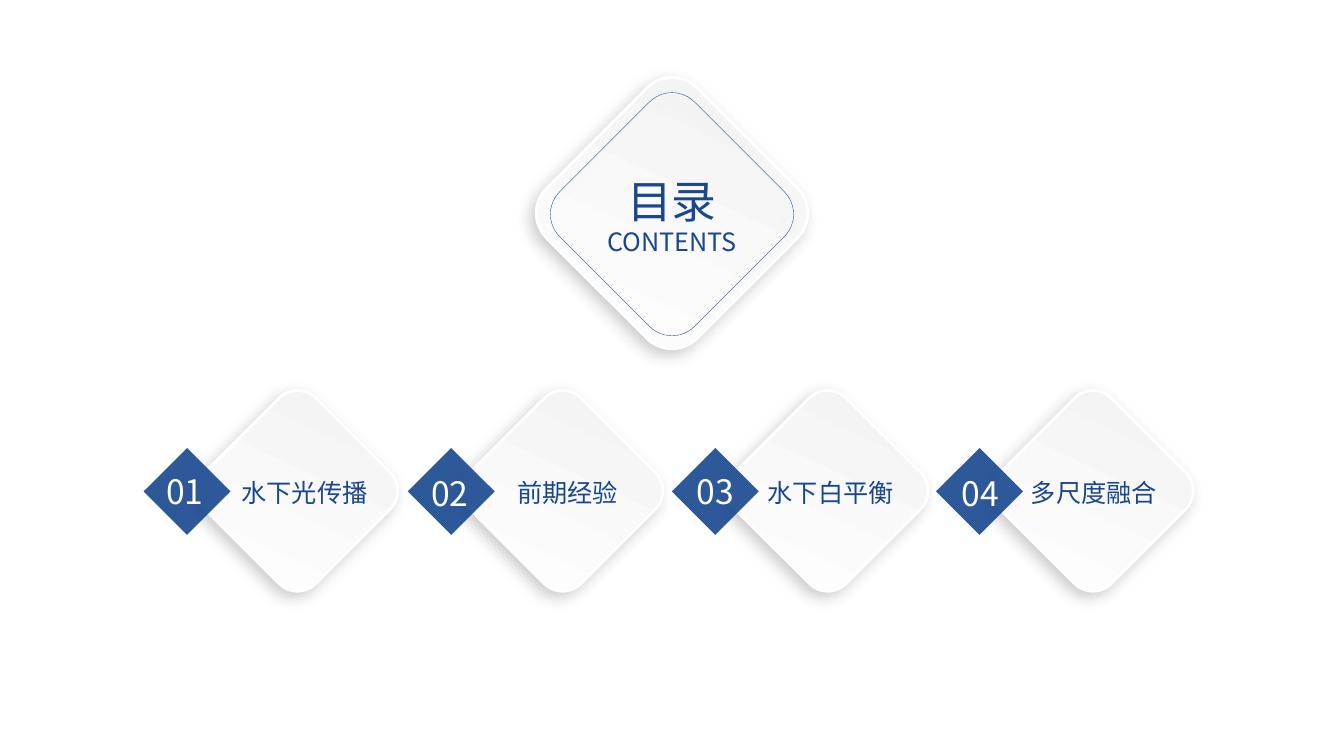
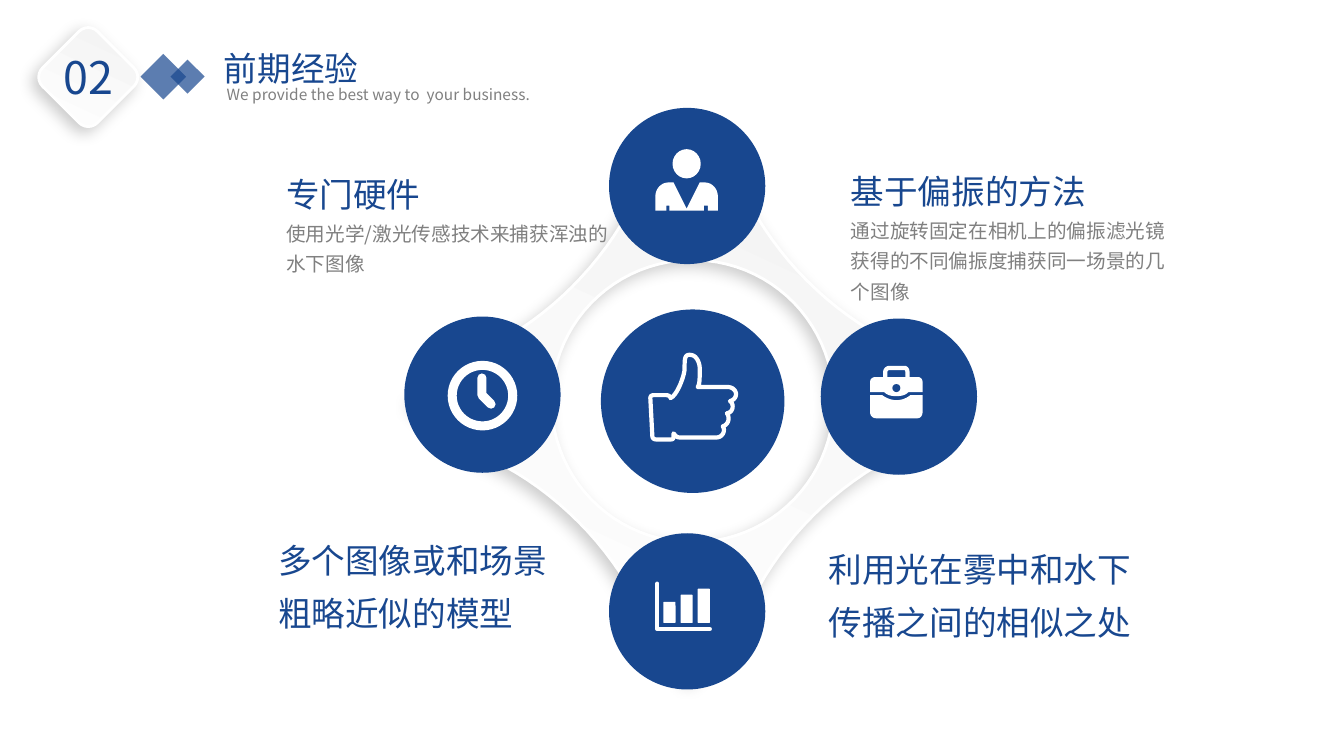
from pptx import Presentation
from pptx.dml.color import RGBColor
from pptx.enum.shapes import MSO_SHAPE as Kind
from pptx.enum.text import MSO_ANCHOR as Anchor, MSO_AUTO_SIZE as Auto, PP_ALIGN as Align
from pptx.oxml import parse_xml
from pptx.oxml.ns import nsdecls, qn
from pptx.util import Inches, Pt
from lxml.etree import SubElement
from math import cos, sin, tau

# Shared style
BLUE = RGBColor(0x18, 0x47, 0x8F)
WHITE = RGBColor(0xFF, 0xFF, 0xFF)
PALE = RGBColor(0xF2, 0xF2, 0xF2)
GREY = RGBColor(0x80, 0x80, 0x80)
FONT = "Noto Sans CJK SC"

# Contents slide
TOPICS = ["水下光传播", "前期经验", "水下白平衡", "多尺度融合"]

# Methods slide: box, heading, detail
NOTES = [
    ((8.34, 1.53, 3.5, 1.54), "基于偏振的方法",
     "通过旋转固定在相机上的偏振滤光镜获得的不同偏振度捕获同一场景的几个图像"),
    ((2.74, 1.56, 3.5, 1.59), "专门硬件",
     "使用光学/激光传感技术来捕获浑浊的水下图像"),
    ((8.12, 5.28, 3.5, 1.1), "利用光在雾中和水下传播之间的相似之处", None),
    ((2.66, 5.19, 3, 1.15), "多个图像或和场景粗略近似的模型", None),
]
DISCS = [(4.01, 3.14, 1.55), (8.14, 3.16, 1.55), (6.04, 1.07, 1.55),
         (6.04, 5.29, 1.55), (5.96, 3.07, 1.82)]

# Outlines: two numbers are a line, six are a curve
ARM = [(0, -2.77), (0.37, -2.4), (0.42, -2.26),
       (0.58, -1.88, 0.82, -1.51, 1.13, -1.2),
       (1.45, -0.88, 1.81, -0.64, 2.2, -0.49), (2.34, -0.44)]
THUMB = [
    (6.64, 4.36), (6.51, 4.36), (6.47, 4.36, 6.47, 4.33, 6.47, 4.32),
    (6.45, 3.95), (6.45, 3.92, 6.48, 3.92, 6.49, 3.92), (6.6, 3.92),
    (6.64, 3.92, 6.65, 3.94, 6.65, 3.95),
    (6.72, 3.92, 6.79, 3.72, 6.79, 3.66),
    (6.79, 3.56, 6.79, 3.52, 6.84, 3.52),
    (6.92, 3.52, 6.94, 3.62, 6.94, 3.65),
    (6.94, 3.77, 6.94, 3.81, 6.92, 3.84), (7.22, 3.84),
    (7.26, 3.84, 7.3, 3.87, 7.3, 3.91), (7.3, 3.95, 7.27, 3.97, 7.24, 3.98),
    (7.28, 4, 7.28, 4.09, 7.21, 4.1), (7.24, 4.14, 7.23, 4.21, 7.17, 4.23),
    (7.2, 4.28, 7.16, 4.34, 7.11, 4.34), (6.74, 4.34),
    (6.71, 4.34, 6.7, 4.32, 6.68, 4.3), (6.68, 4.36, 6.68, 4.36, 6.64, 4.36),
]
BODY = [
    (6.61, 2.09), (6.61, 2.04), (6.64, 2.04), (6.64, 2.09), (6.98, 2.09),
    (6.98, 2.04), (7.02, 2.04), (7.02, 2.09), (7.12, 2.09), (7.12, 1.95),
    (7.12, 1.87, 7.06, 1.81, 6.99, 1.81), (6.94, 1.81), (6.81, 2.07),
    (6.68, 1.81), (6.63, 1.81), (6.56, 1.81, 6.5, 1.87, 6.5, 1.95),
    (6.5, 2.09),
]
CASE = [
    (8.89, 3.97), (8.84, 3.97, 8.79, 3.95, 8.75, 3.92), (8.63, 3.92),
    (8.63, 4.09), (8.63, 4.12, 8.65, 4.15, 8.69, 4.15), (9.1, 4.15),
    (9.13, 4.15, 9.15, 4.12, 9.15, 4.09), (9.15, 3.92), (9.03, 3.92),
    (8.99, 3.95, 8.95, 3.97, 8.89, 3.97),
]
FLAP = [
    (8.69, 3.74), (8.65, 3.74, 8.63, 3.76, 8.63, 3.79), (8.63, 3.89),
    (8.77, 3.89), (8.8, 3.92, 8.84, 3.93, 8.89, 3.93),
    (8.94, 3.93, 8.98, 3.92, 9.01, 3.89), (9.15, 3.89), (9.15, 3.79),
    (9.15, 3.76, 9.13, 3.74, 9.1, 3.74),
]
GRIP = [(8.78, 3.76), (8.78, 3.69), (8.78, 3.67, 8.8, 3.65, 8.82, 3.65),
        (8.97, 3.65), (8.99, 3.65, 9, 3.67, 9, 3.69), (9, 3.76)]
HAND = [(4.78, 3.75), (4.78, 3.92), (4.87, 4.01)]
AXES = [(6.52, 5.79), (6.52, 6.24), (7.04, 6.24)]
BARS = [(6.58, 5.97), (6.75, 5.9), (6.92, 5.84)]


def write(shape, text, size=24, color=BLUE, align=Align.LEFT, wrap=True,
          space=1.0, more=False):
    """Put one paragraph in a shape, or add one when more is set."""
    frame = shape.text_frame
    frame.auto_size = Auto.NONE
    frame.word_wrap = wrap
    frame.vertical_anchor = Anchor.TOP
    para = frame.add_paragraph() if more else frame.paragraphs[0]
    para.alignment, para.line_spacing = align, space
    run = para.add_run()
    run.text = text
    run.font.size, run.font.name = Pt(size), FONT
    run.font.color.rgb = color
    SubElement(run.font._element, qn("a:ea")).set("typeface", FONT)


def label(slide, box, text, **form):
    shape = slide.shapes.add_textbox(*map(Inches, box))
    write(shape, text, **form)
    return shape


def head(slide, box, text, **form):
    """Place the title placeholder in front of what is drawn so far."""
    title = slide.shapes.title
    title.left, title.top, title.width, title.height = map(Inches, box)
    write(title, text, **form)
    slide.shapes._spTree.append(title._element)


def paint(shape, fill=None, line=None, width=1, alpha=None):
    shape.shadow.inherit = False
    if fill is None:
        shape.fill.background()
    else:
        shape.fill.solid()
        shape.fill.fore_color.rgb = fill
        if alpha:
            tint = shape._element.spPr.find(qn("a:solidFill"))[0]
            SubElement(tint, qn("a:alpha")).set("val", str(alpha * 1000))
    if line is None:
        shape.line.fill.background()
    else:
        shape.line.color.rgb = line
        shape.line.width = Pt(width)
        shape.line._ln.set("cap", "rnd")
    return shape


def block(slide, kind, box, fill=None, turn=0, adj=None, **form):
    shape = slide.shapes.add_shape(kind, *map(Inches, box))
    shape.rotation = turn
    if adj is not None:
        shape.adjustments[0] = adj
    return paint(shape, fill, **form)


def cast(shape):
    """Add the soft shadow at lower left."""
    props = shape._element.spPr
    props.remove(props.find(qn("a:effectLst")))
    props.append(parse_xml(
        f'<a:effectLst {nsdecls("a")}><a:outerShdw blurRad="{Pt(11)}" '
        f'dist="{Pt(5)}" dir="8100000" algn="ctr" rotWithShape="0">'
        '<a:srgbClr val="000000"><a:alpha val="20000"/></a:srgbClr>'
        '</a:outerShdw></a:effectLst>'))


def emboss(shape, angle):
    """Give a raised white look."""
    paint(shape, WHITE, WHITE, 2)
    shape.fill.gradient()
    shape.fill.gradient_angle = angle
    for stop, tone, spot in zip(shape.fill.gradient_stops, (WHITE, PALE), (0, 1)):
        stop.color.rgb = tone
        stop.position = spot
    cast(shape)


def tile(slide, left, top, side):
    box = (left, top, side, side)
    emboss(block(slide, Kind.ROUNDED_RECTANGLE, box, turn=45), 110)


def gem(slide, left, top, side, alpha):
    block(slide, Kind.RECTANGLE, (left, top, side, side), BLUE, turn=225, alpha=alpha)


def trace(steps, count=10):
    """Turn lines and curves into points."""
    dots = []
    for step in steps:
        if len(step) == 2:
            dots.append(step)
            continue
        knots = [dots[-1], step[:2], step[2:4], step[4:]]
        for i in range(1, count + 1):
            t = i / count
            parts = ((1 - t) ** 3, 3 * t * (1 - t) ** 2, 3 * t * t * (1 - t), t ** 3)
            dots.append(tuple(sum(w * k[n] for w, k in zip(parts, knots))
                              for n in (0, 1)))
    return dots


def outline(slide, *loops, close=True):
    loops = [[(Inches(x), Inches(y)) for x, y in loop] for loop in loops]
    pen = slide.shapes.build_freeform(*loops[0][0])
    for i, loop in enumerate(loops):
        if i:
            pen.move_to(*loop[0])
        pen.add_line_segments(loop[1:], close=close)
    return pen.convert_to_shape()


def stroke(slide, steps, width, close=False):
    paint(outline(slide, trace(steps), close=close), line=WHITE, width=width)


def contents(slide):
    # Main tile
    tile(slide, 5.61, 1.06, 2.11)
    cast(block(slide, Kind.ROUNDED_RECTANGLE, (5.72, 1.18, 1.89, 1.89),
               turn=45, line=BLUE, width=0.25))
    head(slide, (5.41, 1.67, 2.51, 0.64), "目录", size=32, align=Align.CENTER)
    label(slide, (5.41, 2.2, 2.51, 0.4), "CONTENTS", size=18, align=Align.CENTER)
    # Row of topics
    for i, topic in enumerate(TOPICS):
        tile(slide, 2.17 + 2.63 * i, 4.09, 1.56)
        gem(slide, 1.55 + 2.62 * i, 4.57, 0.61, 90)
        label(slide, (2.2 + 2.61 * i, 4.69, 1.64, 0.4), topic, size=18,
              align=Align.CENTER)
        label(slide, (1.55 + 2.63 * i, 4.62 + 0.02 * (i % 2), 0.6, 0.5),
              f"{i + 1:02}", color=WHITE, wrap=False)


def methods(slide):
    # Four-armed plate with a round hole
    midx, midy = 6.87, 3.98
    rim, arm = [], trace(ARM)
    for _ in range(4):
        rim += [(midx + x, midy + y) for x, y in arm]
        arm = [(-y, x) for x, y in arm]
    hole = [(midx + 1.4 * cos(tau * i / 90), midy - 1.4 * sin(tau * i / 90))
            for i in range(90)]
    emboss(outline(slide, rim, hole), 65)
    for left, top, side in DISCS:
        block(slide, Kind.OVAL, (left, top, side, side), BLUE)
    # Thumb and clock
    stroke(slide, THUMB, 3, close=True)
    block(slide, Kind.DONUT, (4.44, 3.58, 0.69, 0.69), WHITE, adj=0.13)
    stroke(slide, HAND, 6.5)
    # Person and case
    block(slide, Kind.OVAL, (6.67, 1.48, 0.28, 0.29), WHITE)
    for steps in (BODY, CASE, FLAP):
        paint(outline(slide, trace(steps)), WHITE)
    stroke(slide, GRIP, 3)
    block(slide, Kind.OVAL, (8.85, 3.81, 0.08, 0.08), BLUE)
    # Bar chart icon
    for left, top in BARS:
        block(slide, Kind.ROUNDED_RECTANGLE, (left, top, 0.12, 6.18 - top),
              WHITE, adj=0.06)
    stroke(slide, AXES, 3)
    # Notes
    for box, title, detail in NOTES:
        note = label(slide, box, title, space=1.3)
        if detail:
            write(note, detail, size=14, color=GREY, space=1.3, more=True)
    # Header
    gem(slide, 1.46, 0.6, 0.32, 70)
    gem(slide, 1.74, 0.64, 0.24, 70)
    label(slide, (2.15, 0.79, 4.02, 0.29),
          "We provide the best way to  your business.", size=11, color=GREY)
    head(slide, (2.12, 0.43, 3.25, 0.5), TOPICS[1])
    tile(slide, 0.49, 0.38, 0.77)
    label(slide, (0.53, 0.44, 0.73, 0.64), "02", size=32, wrap=False)


def main():
    deck = Presentation()
    deck.slide_width, deck.slide_height = Inches(13.33), Inches(7.5)
    for draw in (contents, methods):
        draw(deck.slides.add_slide(deck.slide_layouts[5]))
    deck.save("out.pptx")


if __name__ == "__main__":
    main()
